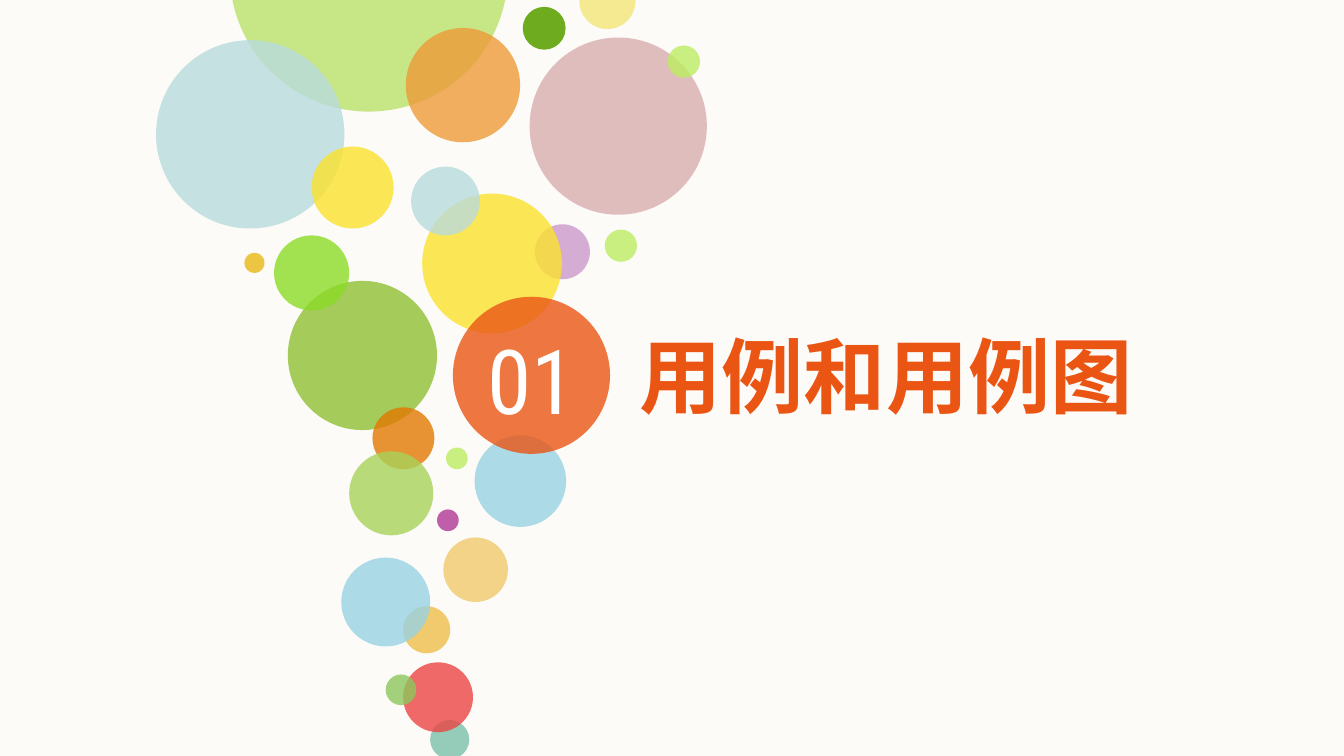
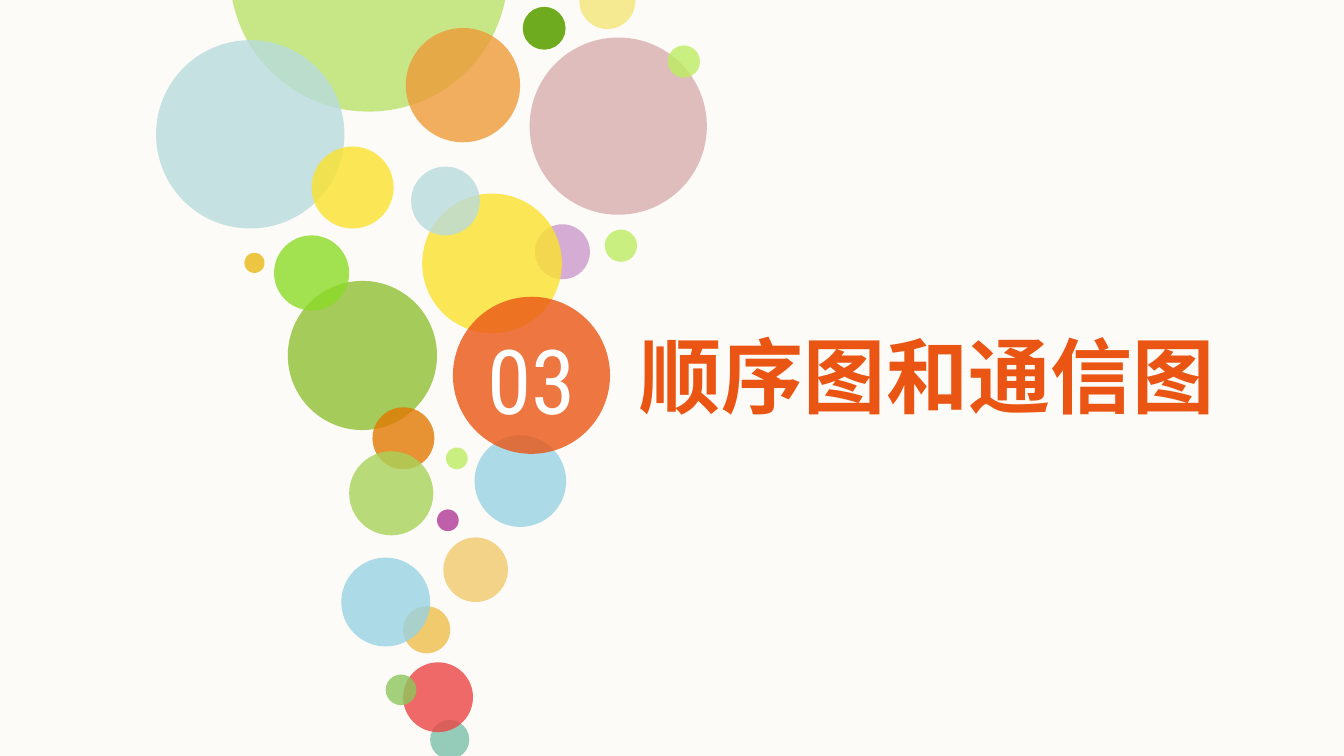
import pptx
import pptx.dml.color
import pptx.enum.shapes
import pptx.enum.text
import pptx.oxml.ns
import pptx.util
from lxml import etree

Cm = pptx.util.Cm
RGBColor = pptx.dml.color.RGBColor
Align = pptx.enum.text.PP_ALIGN

# Colours and fonts
PAPER = RGBColor(0xFC, 0xFB, 0xF7)
WHITE = RGBColor(0xFF, 0xFF, 0xFF)
FLAME = RGBColor(0xEA, 0x55, 0x14)
LIME = RGBColor(0xBA, 0xE3, 0x6B)
LEAF = RGBColor(0x6E, 0xAB, 0x1F)
MIST = RGBColor(0xB9, 0xDB, 0xDD)
PEACH = RGBColor(0xED, 0x9B, 0x38)
CREAM = RGBColor(0xF5, 0xEA, 0x91)
ROSE = RGBColor(0xD8, 0xAE, 0xAF)
MOSS = RGBColor(0xA5, 0xCB, 0x5A)
SPROUT = RGBColor(0xBC, 0xED, 0x61)
LILAC = RGBColor(0xCB, 0x99, 0xCC)
LEMON = RGBColor(0xFB, 0xE2, 0x2D)
GRASS = RGBColor(0x8C, 0xDB, 0x27)
GOLD = RGBColor(0xE9, 0xB9, 0x15)
PLUM = RGBColor(0xB0, 0x38, 0x96)
SAND = RGBColor(0xF0, 0xCA, 0x6C)
TEAL = RGBColor(0x7B, 0xBF, 0xAA)
RED = RGBColor(0xEB, 0x45, 0x44)
FERN = RGBColor(0x8D, 0xC6, 0x5B)
SKY = RGBColor(0x98, 0xD2, 0xE3)
AMBER = RGBColor(0xE2, 0x79, 0x02)
PEAR = RGBColor(0xA9, 0xD2, 0x5A)
DIGIT = "Roboto Condensed"
HAN = "Noto Sans CJK SC"

# Bubbles from back to front: left, top, diameter in cm, colour, opacity in percent
BUBBLES = [
    (4.34, -3.15, 5.26, LIME, 80),
    (9.88, 0.13, 0.81, LEAF, 100),
    (2.95, 0.76, 3.56, MIST, 80),
    (7.67, 0.53, 2.16, PEACH, 80),
    (10.95, -0.51, 1.06, CREAM, 100),
    (10.01, 0.71, 3.35, ROSE, 80),
    (5.44, 5.31, 2.82, MOSS, 100),
    (12.62, 0.86, 0.61, SPROUT, 80),
    (11.43, 4.34, 0.61, SPROUT, 80),
    (10.11, 4.24, 1.04, LILAC, 80),
    (7.98, 3.66, 2.64, LEMON, 80),
    (5.89, 2.77, 1.55, LEMON, 80),
    (5.18, 4.45, 1.42, GRASS, 80),
    (4.62, 4.78, 0.38, GOLD, 80),
    (8.43, 8.46, 0.41, SPROUT, 80),
    (8.26, 9.63, 0.41, PLUM, 80),
    (8.38, 10.16, 1.22, SAND, 80),
    (7.62, 11.46, 0.89, SAND, 100),
    (8.13, 13.61, 0.74, TEAL, 80),
    (7.62, 12.52, 1.32, RED, 80),
    (7.29, 12.75, 0.58, FERN, 80),
    (6.45, 10.54, 1.68, SKY, 80),
    (7.77, 3.15, 1.3, MIST, 80),
    (8.97, 8.23, 1.73, SKY, 80),
    (7.04, 7.7, 1.17, AMBER, 80),
    (6.6, 8.53, 1.59, PEAR, 80),
    (8.56, 5.61, 2.97, FLAME, 80),
]

PARTS = [("01", "用例和用例图"), ("03", "顺序图和通信图")]


def put(shape, text, size, font, color, bold=False, align=Align.LEFT):
    frame = shape.text_frame
    frame.margin_left = frame.margin_right = 0
    frame.margin_top = frame.margin_bottom = 0
    frame.word_wrap = True
    frame.auto_size = pptx.enum.text.MSO_AUTO_SIZE.SHAPE_TO_FIT_TEXT
    frame.vertical_anchor = pptx.enum.text.MSO_ANCHOR.TOP
    para = frame.paragraphs[0]
    para.alignment = align
    run = para.add_run()
    run.text = text
    run.font.size = pptx.util.Pt(size)
    run.font.bold = bold
    run.font.name = font
    run.font.color.rgb = color
    # Chinese glyphs take their font from the East Asian slot
    east = etree.SubElement(run.font._element, pptx.oxml.ns.qn("a:ea"))
    east.set("typeface", font)


def bubble(slide, left, top, size, color, alpha):
    oval = slide.shapes.add_shape(pptx.enum.shapes.MSO_SHAPE.OVAL,
                                  Cm(left), Cm(top), Cm(size), Cm(size))
    oval.shadow.inherit = False
    oval.line.fill.background()
    oval.fill.solid()
    oval.fill.fore_color.rgb = color
    if alpha < 100:
        tint = oval._element.spPr.find(".//" + pptx.oxml.ns.qn("a:srgbClr"))
        node = etree.SubElement(tint, pptx.oxml.ns.qn("a:alpha"))
        node.set("val", str(alpha * 1000))


deck = pptx.Presentation()
deck.slide_width = Cm(25.4)
deck.slide_height = Cm(14.29)

for num, name in PARTS:
    slide = deck.slides.add_slide(deck.slide_layouts.get_by_name("Title Only"))
    slide.background.fill.solid()
    slide.background.fill.fore_color.rgb = PAPER

    for spot in BUBBLES:
        bubble(slide, *spot)

    # Part number on the flame bubble
    box = slide.shapes.add_textbox(Cm(9.04), Cm(6.15), Cm(2.03), Cm(2.06))
    put(box, num, size=48, font=DIGIT, color=WHITE, align=Align.CENTER)

    # Part title
    title = slide.shapes.title
    title.left, title.top = Cm(12.09), Cm(6.15)
    title.width, title.height = Cm(13), Cm(1.88)
    put(title, name, size=44, font=HAN, color=FLAME, bold=True)

deck.save("out.pptx")
